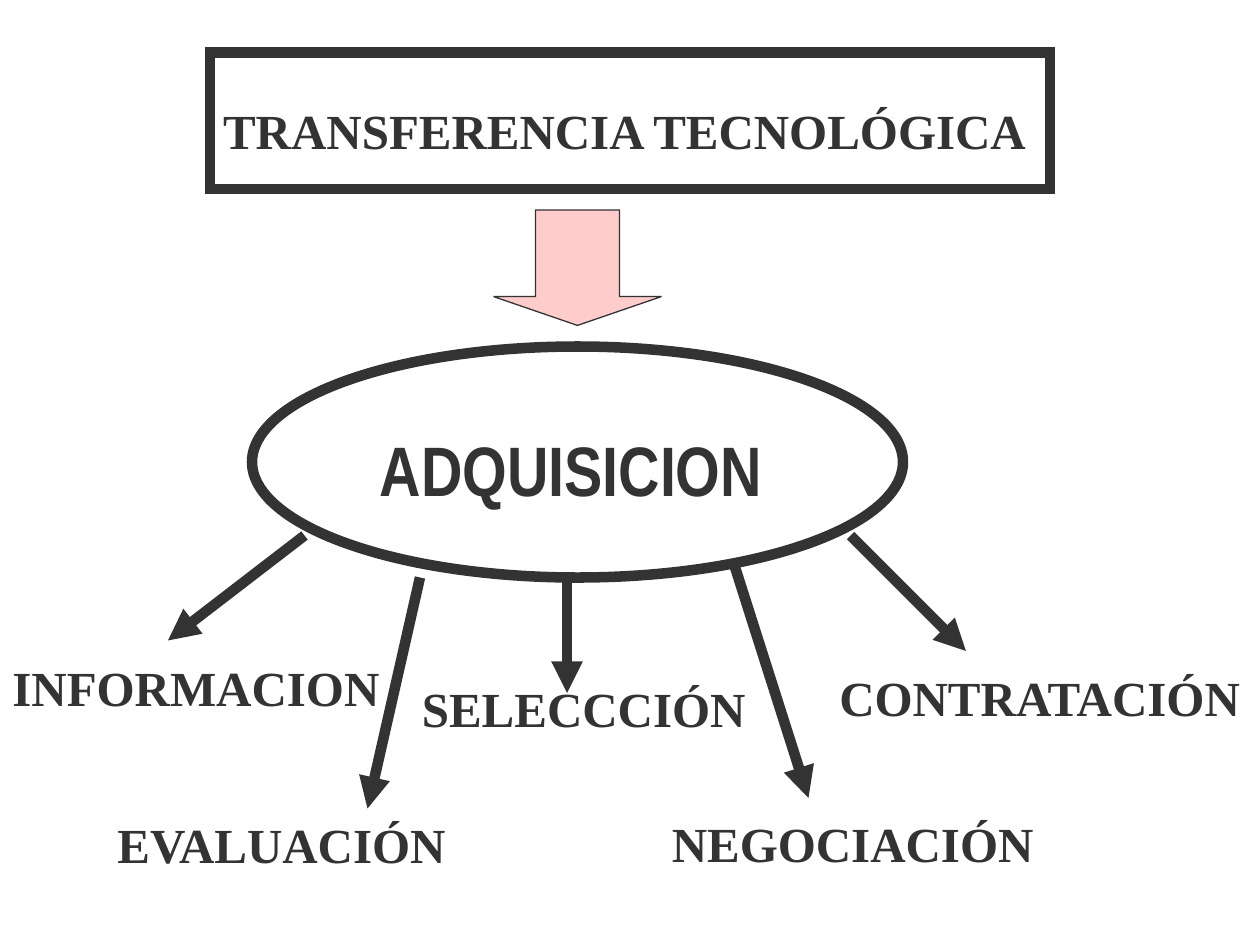
from dataclasses import dataclass

from pptx import Presentation
from pptx.dml.color import RGBColor
from pptx.enum.shapes import MSO_CONNECTOR as Connector, MSO_SHAPE as Preset
from pptx.enum.text import MSO_ANCHOR as Anchor, MSO_AUTO_SIZE as AutoSize, PP_ALIGN as Align
from pptx.oxml.ns import qn
from pptx.util import Inches, Pt

COLUMNS, ROWS = 120, 90
CELL = Inches(10) / COLUMNS


@dataclass(frozen=True)
class Theme:
    ink: RGBColor = RGBColor(0x33, 0x33, 0x33)
    flow: RGBColor = RGBColor(0xFF, 0xCC, 0xCC)
    serif: str = "Times New Roman"
    narrow: str = "Arial Narrow"
    label_size: Pt = Pt(28)
    core_size: Pt = Pt(40)
    heavy: Pt = Pt(6)
    fine: Pt = Pt(0.75)


@dataclass(frozen=True)
class Area:
    column: float
    row: float
    columns: float
    rows: float

    def lengths(self) -> list[int]:
        return grid(self.column, self.row, self.columns, self.rows)


@dataclass(frozen=True)
class Stage:
    name: str
    area: Area
    start: tuple[float, float]
    end: tuple[float, float]


THEME = Theme()
LABEL_ROWS = 6.8
STAGES = [
    Stage("INFORMACION", Area(0, 62, 37.5, LABEL_ROWS), (29, 51), (16, 61)),
    Stage("EVALUACIÓN", Area(10, 77, 34.2, LABEL_ROWS), (40, 55), (35, 77)),
    Stage("SELECCCIÓN", Area(39, 64, 33.2, LABEL_ROWS), (54, 55), (54, 66)),
    Stage("NEGOCIACIÓN", Area(62.8, 76.9, 36.8, LABEL_ROWS), (70, 54), (77, 76)),
    Stage("CONTRATACIÓN", Area(78.75, 63, 41.2, LABEL_ROWS), (81, 51), (92, 62)),
]


def grid(*cells: float) -> list[int]:
    return [round(cell * CELL) for cell in cells]


def apply(target, values: dict) -> None:
    for attribute, value in values.items():
        setattr(target, attribute, value)


def write(holder, text: str, font_name: str, size: Pt, wrap: bool = False) -> None:
    frame = holder.text_frame
    frame.text = text
    apply(frame, {
        "word_wrap": wrap,
        "auto_size": AutoSize.SHAPE_TO_FIT_TEXT,
        "vertical_anchor": Anchor.TOP,
        "margin_left": Inches(0.1),
        "margin_right": Inches(0.1),
        "margin_top": Inches(0.05),
        "margin_bottom": Inches(0.05),
    })
    paragraph = frame.paragraphs[0]
    paragraph.alignment = Align.LEFT
    font = paragraph.runs[0].font
    apply(font, {"name": font_name, "size": size, "bold": True})
    font.color.rgb = THEME.ink


def ink_line(shape, width: Pt, tag: str, values: dict[str, str]) -> None:
    shape.line.color.rgb = THEME.ink
    shape.line.width = width
    line = shape.element.spPr.find(qn("a:ln"))
    line.append(line.makeelement(qn(tag), values))


def draw_outline(slide, preset: Preset, area: Area, width: Pt, fill: RGBColor | None = None) -> None:
    outline = slide.shapes.add_shape(preset, *area.lengths())
    outline.shadow.inherit = False
    if fill is None:
        outline.fill.background()
    else:
        outline.fill.solid()
        outline.fill.fore_color.rgb = fill
    ink_line(outline, width, "a:miter", {"lim": "800000"})
    if preset is Preset.DOWN_ARROW:
        outline.adjustments[0], outline.adjustments[1] = 0.5, 0.25


def draw_arrow(slide, stage: Stage) -> None:
    arrow = slide.shapes.add_connector(Connector.STRAIGHT, *grid(*stage.start, *stage.end))
    ink_line(arrow, THEME.heavy, "a:tailEnd", {"type": "triangle"})
    properties = arrow.element.spPr
    properties.append(properties.makeelement(qn("a:effectLst"), {}))


def main() -> None:
    deck = Presentation()
    apply(deck, {"slide_width": round(COLUMNS * CELL), "slide_height": round(ROWS * CELL)})
    slide = deck.slides.add_slide(deck.slide_layouts[5])

    heading = slide.shapes.title
    apply(heading, dict(zip(("left", "top", "width", "height"),
                            Area(20.05, 9, 79.2, LABEL_ROWS).lengths())))
    write(heading, "TRANSFERENCIA TECNOLÓGICA", THEME.serif, THEME.label_size)

    draw_outline(slide, Preset.RECTANGLE, Area(20, 5, 80, 13), THEME.heavy)
    draw_outline(slide, Preset.DOWN_ARROW, Area(47, 20, 16, 11), THEME.fine, THEME.flow)
    draw_outline(slide, Preset.OVAL, Area(24, 33, 62, 22), THEME.heavy)

    core = slide.shapes.add_textbox(*Area(35, 40, 40.2, 17.3).lengths())
    write(core, "ADQUISICION", THEME.narrow, THEME.core_size, wrap=True)

    for stage in STAGES:
        draw_arrow(slide, stage)
    for stage in STAGES:
        label = slide.shapes.add_textbox(*stage.area.lengths())
        write(label, stage.name, THEME.serif, THEME.label_size, wrap=stage is STAGES[0])

    deck.save("out.pptx")


if __name__ == "__main__":
    main()
